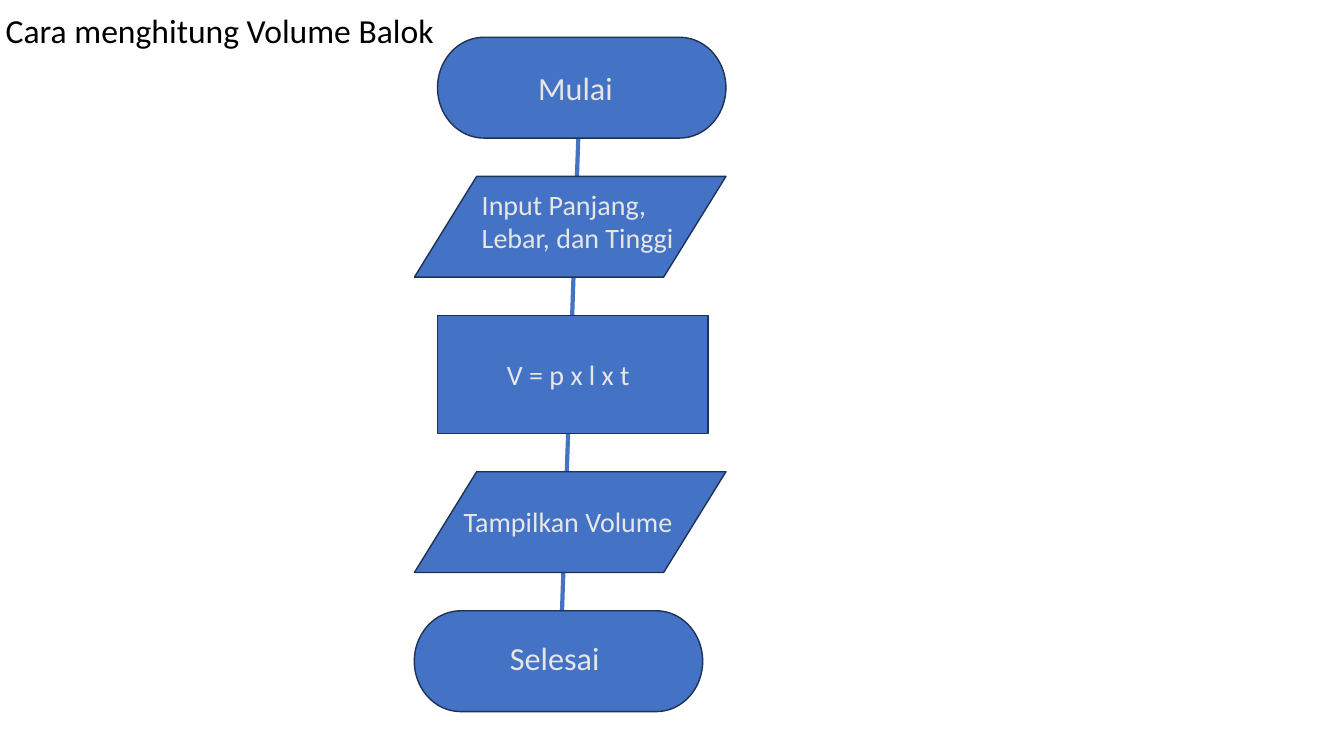
from pptx import Presentation
from pptx import util as u
from pptx.dml.color import RGBColor
from pptx.enum import shapes, text
from pptx.oxml.ns import qn
from lxml import etree

BLUE, NAVY, PALE, BLACK = "4472C4", "1E3256", "E7E6E6", "000000"
GAP = 0.38


def rgb(value):
    return RGBColor.from_string(value)


def add_text(left, top, width, height, words, size, color):
    box = s.shapes.add_textbox(u.Inches(left), u.Inches(top), u.Inches(width), u.Inches(height))
    tf = box.text_frame
    tf.word_wrap = True
    p = tf.paragraphs[0]
    r = p.add_run()
    r.text = words
    r.font.size = u.Pt(size)
    r.font.name = "Calibri"
    r.font.color.rgb = rgb(color)
    return tf


prs = Presentation()
prs.slide_width, prs.slide_height = u.Inches(13.33), u.Inches(7.5)
s = prs.slides.add_slide(prs.slide_layouts[6])

# Flow arrow, behind every step
arrow = s.shapes.add_connector(shapes.MSO_CONNECTOR.STRAIGHT, u.Inches(5.76), u.Inches(0.37),
                               u.Inches(5.53), u.Inches(7.06))
arrow.line.color.rgb = rgb(BLUE)
arrow.line.width = u.Pt(3)
etree.SubElement(arrow.line._get_or_add_ln(), qn("a:tailEnd"), type="triangle")
etree.SubElement(arrow._element.spPr, qn("a:effectLst"))

# Title
tf = add_text(-0.8, 0.09, 5.96, 0.69, "Cara menghitung Volume Balok", 24, BLACK)
p = tf.paragraphs[0]
p.alignment = text.PP_ALIGN.CENTER
p.line_spacing = 0.9
p.space_before = u.Pt(10)

# Step outlines, stacked with equal gaps: kind, left, width, height
kinds = shapes.MSO_SHAPE
outlines = [
    (kinds.FLOWCHART_TERMINATOR, 4.34, 2.86, 1),
    (kinds.FLOWCHART_DATA, 4.11, 3.09, 1),
    (kinds.FLOWCHART_PROCESS, 4.34, 2.68, 1.17),
    (kinds.FLOWCHART_DATA, 4.11, 3.09, 1),
    (kinds.FLOWCHART_TERMINATOR, 4.11, 2.86, 1),
]
steps = []
top = 0.37
for kind, left, width, height in outlines:
    sp = s.shapes.add_shape(kind, u.Inches(left), u.Inches(top), u.Inches(width), u.Inches(height))
    sp.shadow.inherit = False
    sp.fill.solid()
    sp.fill.fore_color.rgb = rgb(BLUE)
    sp.line.color.rgb = rgb(NAVY)
    sp.line.width = u.Pt(1)
    steps.append(sp)
    top += height + GAP

# Join the arrow to the first and last step
arrow.begin_connect(steps[0], 0)
arrow.end_connect(steps[-1], 2)

# Step labels: left, top, width, height, words, size
labels = [
    (5.24, 0.63, 1.96, 0.49, "Mulai", 23),
    (4.68, 1.81, 2.5, 0.77, "Input Panjang, Lebar, dan Tinggi", 20),
    (4.93, 3.5, 2.5, 0.44, "V = p x l x t", 20),
    (4.5, 4.96, 2.5, 0.44, "Tampilkan Volume", 20),
    (4.96, 6.28, 1.96, 0.49, "Selesai", 23),
]
for label in labels:
    tf = add_text(*label, PALE)
    tf.auto_size = text.MSO_AUTO_SIZE.SHAPE_TO_FIT_TEXT

prs.save("out.pptx")
